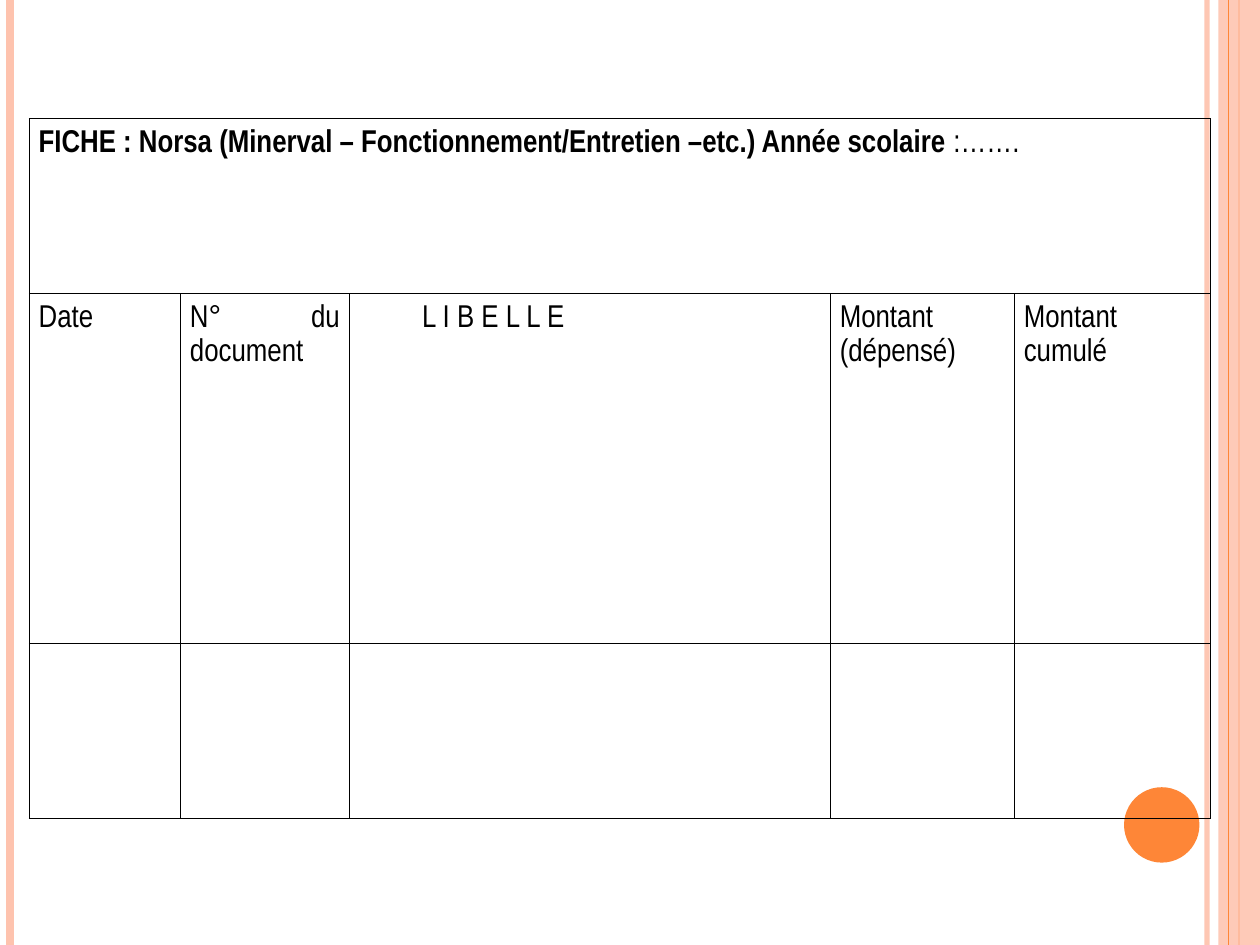
import lxml.etree
import pptx
import pptx.dml.color
import pptx.enum.shapes
import pptx.enum.text
import pptx.oxml
import pptx.oxml.ns
import pptx.util

Cm = pptx.util.Cm
Pt = pptx.util.Pt
qn = pptx.oxml.ns.qn

SLIDE_WIDTH, SLIDE_HEIGHT = 25.4, 19.05
PEACH, ORANGE, BLACK = "FEC3AE", "FE8637", "000000"
COLUMN_WIDTHS = [3.05, 3.4, 9.7, 3.71, 3.96]
ROW_SHARES = [1, 2, 1]
FORM_TITLE = [
    ("FICHE : Norsa (Minerval – Fonctionnement/Entretien –etc.) Année scolaire", True),
    (" :…….", False),
]
HEADINGS = [
    ["Date"],
    ["N° du document"],
    ["L I B E L L E"],
    ["Montant (dépensé)"],
    ["Montant", "cumulé"],
]
LIBELLE_COLUMN = 2


def rgb(value):
    return pptx.dml.color.RGBColor.from_string(value)


def set_opacity(properties, percent):
    colour = properties.find(".//" + qn("a:srgbClr"))
    alpha = lxml.etree.SubElement(colour, qn("a:alpha"))
    alpha.set("val", str(percent * 1000))


def add_stripe(slide, x, top, height, colour, weight, opacity=100):
    stripe = slide.shapes.add_connector(
        pptx.enum.shapes.MSO_CONNECTOR.STRAIGHT, Cm(x), Cm(top), Cm(x), Cm(top + height)
    )
    stripe.line.color.rgb = rgb(colour)
    stripe.line.width = Pt(weight)
    properties = stripe.element.spPr
    if opacity < 100:
        set_opacity(properties, opacity)
    lxml.etree.SubElement(properties, qn("a:effectLst"))


def add_solid(slide, preset, left, top, width, height, colour):
    solid = slide.shapes.add_shape(preset, Cm(left), Cm(top), Cm(width), Cm(height))
    solid.shadow.inherit = False
    solid.fill.solid()
    solid.fill.fore_color.rgb = rgb(colour)
    solid.line.fill.background()
    return solid


def add_decoration(slide, left, top, width, height):
    right = left + width
    preset = pptx.enum.shapes.MSO_SHAPE
    add_stripe(slide, right - 1.07, top, height, PEACH, 3, 93)
    add_stripe(slide, left + 0.21, top, height, PEACH, 4.5)
    add_stripe(slide, right - 0.42, top, height, ORANGE, 1.5)
    band = add_solid(slide, preset.RECTANGLE, right - 0.84, top, 0.84, height, PEACH)
    set_opacity(band.element.spPr, 87)
    add_stripe(slide, right - 0.64, top, height, ORANGE, 0.75)
    add_solid(slide, preset.OVAL, right - 2.74, top + height - 3.18, 1.52, 1.52, ORANGE)


def format_cell(cell):
    cell.margin_left = cell.margin_right = Cm(0.19)
    cell.margin_top = cell.margin_bottom = Cm(0.13)
    properties = cell._tc.get_or_add_tcPr()
    for side in ("lnL", "lnR", "lnT", "lnB"):
        border = lxml.etree.SubElement(properties, qn("a:" + side), w=str(Pt(0.45)))
        paint = lxml.etree.SubElement(border, qn("a:solidFill"))
        lxml.etree.SubElement(paint, qn("a:srgbClr"), val=BLACK)
    cell.fill.background()


def write_paragraph(paragraph, runs):
    paragraph.alignment = pptx.enum.text.PP_ALIGN.JUSTIFY
    paragraph.line_spacing = 1.15
    for words, bold in runs:
        run = paragraph.add_run()
        run.text = words
        run.font.name = "Arial Narrow"
        run.font.size = Pt(18)
        run.font.bold = bold
        run.font.color.rgb = rgb(BLACK)


def write_cell(cell, paragraphs):
    frame = cell.text_frame
    for index, runs in enumerate(paragraphs):
        paragraph = frame.add_paragraph() if index else frame.paragraphs[0]
        write_paragraph(paragraph, runs)


def add_expense_form(slide, left, top, width, height):
    form = slide.shapes.add_table(
        len(ROW_SHARES), len(COLUMN_WIDTHS), Cm(left), Cm(top), Cm(width), Cm(height)
    ).table
    form.first_row = False
    form.horz_banding = False
    for column, share in zip(form.columns, COLUMN_WIDTHS):
        column.width = Cm(width * share / sum(COLUMN_WIDTHS))
    for row, share in zip(form.rows, ROW_SHARES):
        row.height = Cm(height * share / sum(ROW_SHARES))
    for cell in form.iter_cells():
        format_cell(cell)

    title_cell = form.cell(0, 0)
    title_cell.merge(form.cell(0, len(COLUMN_WIDTHS) - 1))
    write_cell(title_cell, [FORM_TITLE])
    for index, lines in enumerate(HEADINGS):
        write_cell(form.cell(1, index), [[(line, False)] for line in lines])
    libelle = form.cell(1, LIBELLE_COLUMN).text_frame.paragraphs[0]
    libelle._p.get_or_add_pPr().set("marL", str(Cm(1.28)))


def main():
    presentation = pptx.Presentation()
    presentation.slide_width = Cm(SLIDE_WIDTH)
    presentation.slide_height = Cm(SLIDE_HEIGHT)
    slide = presentation.slides.add_slide(presentation.slide_layouts[6])
    add_decoration(slide, 0, 0, SLIDE_WIDTH, SLIDE_HEIGHT)
    add_expense_form(slide, 0.59, 2.39, sum(COLUMN_WIDTHS), 14.1)
    presentation.save("out.pptx")


if __name__ == "__main__":
    main()
